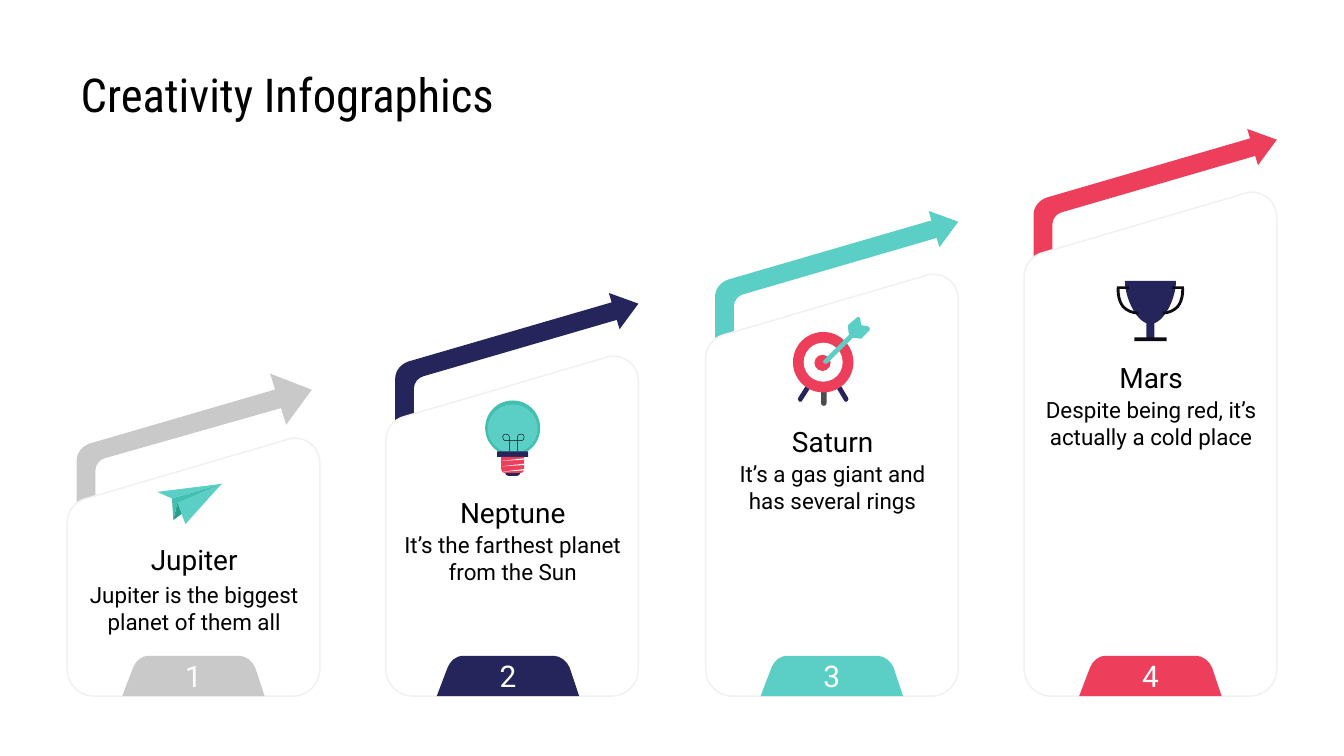
from pptx import Presentation
from pptx.dml.color import RGBColor
from pptx.enum.shapes import MSO_SHAPE
from pptx.enum.text import MSO_ANCHOR, MSO_AUTO_SIZE, PP_ALIGN
from pptx.oxml import parse_xml
from pptx.oxml.ns import nsdecls, qn
from pptx.util import Pt

PX = 9144  # 100 px to the inch

COLOURS = {
    "white": "FFFFFF", "black": "000000", "ink": "0D0C12", "edge": "F1F1F1",
    "gray": "C9C9C9", "navy": "25255B", "teal": "5BCFC5", "red": "ED3F5C",
    "mid teal": "43BFB0", "deep teal": "2B9E8D", "stand": "4C4B50",
}
RGB = {name: RGBColor.from_string(value) for name, value in COLOURS.items()}

FRAME_FORMAT = {
    "word_wrap": True, "auto_size": MSO_AUTO_SIZE.NONE,
    "vertical_anchor": MSO_ANCHOR.MIDDLE,
    "margin_left": 10 * PX, "margin_right": 10 * PX,
    "margin_top": 10 * PX, "margin_bottom": 10 * PX,
}

prs = Presentation()
prs.slide_width = 1000 * PX
prs.slide_height = prs.slide_width * 9 // 16
slide = prs.slides.add_slide(prs.slide_layouts[5])


def draw(contour, fill=None, line=None, at=(0, 0), mirror=None):
    """Draw an outline: a pair is a corner, six numbers are a Bézier curve."""
    points, curve_starts = [], []
    for step in contour:
        if len(step) == 6:
            curve_starts.append(len(points) - 1)
        for x, y in zip(step[::2], step[1::2]):
            x = x if mirror is None else 2 * mirror - x
            points.append(((x + at[0]) * PX, (y + at[1]) * PX))
    builder = slide.shapes.build_freeform(*points[0], scale=1.0)
    builder.add_line_segments(points[1:], close=fill is not None)
    shape = builder.convert_to_shape()
    segments = list(shape._element.iter(qn("a:lnTo")))
    for start in curve_starts:
        curve = parse_xml(f"<a:cubicBezTo {nsdecls('a')}/>")
        segments[start].addprevious(curve)
        for segment in segments[start:start + 3]:
            curve.append(segment[0])
            segment.getparent().remove(segment)
    shape.shadow.inherit = False
    if fill:
        shape.fill.solid()
        shape.fill.fore_color.rgb = RGB[fill]
    else:
        shape.fill.background()
    if line:
        shape.line.color.rgb, shape.line.width = RGB[line[0]], Pt(line[1])
    else:
        shape.line.fill.background()
    return shape


def write(frame, text, size, colour="black", font="Roboto", align=PP_ALIGN.CENTER):
    for name, value in FRAME_FORMAT.items():
        setattr(frame, name, value)
    paragraph = frame.paragraphs[0]
    paragraph.text, paragraph.alignment = text, align
    text_format = {"size": Pt(size), "name": font, "bold": False}
    for name, value in text_format.items():
        setattr(paragraph.font, name, value)
    paragraph.font.color.rgb = RGB[colour]


# Title
title = slide.shapes.title
title.left, title.top, title.width, title.height = [v * PX for v in (50, 48, 845, 44)]
write(title.text_frame, "Creativity Infographics", 25,
      font="Roboto Condensed", align=PP_ALIGN.LEFT)

# Cards: colour, tab offset, name top, description top, name, description
cards = [
    ("gray", 41, 402, 433, "Jupiter", "Jupiter is the biggest planet of them all"),
    ("navy", 38, 367, 396, "Neptune", "It’s the farthest planet from the Sun"),
    ("teal", 41, 314, 343, "Saturn", "It’s a gas giant and has several rings"),
    ("red", 41, 266, 295, "Mars", "Despite being red, it’s actually a cold place"),
]
tab_outline = [(20, 488), (14, 488, 10, 492, 8, 497), (0, 518), (106, 518),
               (99, 497), (97, 492, 92, 488, 87, 488)]
# Arrow: foot of the stem, the two shaft corners at the tip, head
short_arrow = 63, (161, -38), (165, -24), [(151, -48), (163, -10), (182, -36)]
long_arrow = 52, (175, -42), (179, -29), [(166, -47), (174, -20), (188, -39)]

for i, (colour, tab_offset, name_top, description_top, name, description) in enumerate(cards):
    left, top = round(50 + i * 237.33), 326 - 61 * i
    height = 518 - top
    foot, upper_tip, lower_tip, head = long_arrow if i else short_arrow
    draw([upper_tip, (17, 4), (11, 6, 7, 11, 7, 17), (7, foot), (21, foot),
          (21, 24), (21, 20, 24, 16, 28, 15), lower_tip], colour, at=(left, top))
    draw(head, colour, at=(left, top))
    draw([(169, 0), (168, 0, 166, 0, 164, 1), (14, 45), (6, 47, 0, 54, 0, 63),
          (0, height - 20), (0, height - 9, 9, height, 20, height), (168, height),
          (179, height, 188, height - 9, 188, height - 20), (188, 19),
          (188, 8, 180, 0, 169, 0)], "white", ("edge", 0.81), at=(left, top))
    tab = draw(tab_outline, colour, at=(left + tab_offset, 0))
    write(tab.text_frame, str(i + 1), 16, "white")
    for text, text_top, text_height, size in [(name, name_top, 29, 15),
                                              (description, description_top, 39, 12)]:
        box = slide.shapes.add_textbox(left * PX, text_top * PX, 189 * PX, text_height * PX)
        write(box.text_frame, text, size)

# Icons: each part is a colour with a preset and its box, or with an outline
OVAL, BAR = MSO_SHAPE.OVAL, MSO_SHAPE.RECTANGLE
paper_plane = [
    ("deep teal", None, [(165, 360), (132, 374), (129, 387)]),
    ("teal", None, [(165, 360), (132, 374), (138, 390)]),
    ("mid teal", None, [(165, 360), (128, 371), (129, 387), (132, 374)]),
    ("teal", None, [(165, 360), (117, 366), (128, 371)]),
]
light_bulb = [
    ("mid teal", OVAL, (361, 298, 41, 41)),
    ("teal", OVAL, (363, 301, 37, 36)),
    ("navy", BAR, (370, 336, 23, 4)),
    ("red", None, [(373, 340), (373, 349), (373, 351, 374, 352, 376, 352), (387, 352),
                   (389, 352, 390, 351, 390, 349), (390, 340)]),
    ("navy", None, [(376, 352), (376, 353, 377, 354, 378, 354), (385, 354),
                    (386, 354, 387, 353, 387, 352)]),
] + [("white", None, [(390, y), (373, y + 2), (390, y + 1), (391, y)])
     for y in (341, 345, 349)]
target = [
    ("stand", MSO_SHAPE.ROUNDED_RECTANGLE, (611, 268, 4, 34)),
    ("navy", None, [(613, 266), (594, 296), (593, 297, 594, 298, 595, 299),
                    (596, 299, 597, 299, 597, 298), (613, 273), (628, 298),
                    (628, 299, 629, 299, 630, 299), (631, 298, 632, 297, 631, 296)]),
    ("red", OVAL, (590, 247, 45, 45)),
    ("white", OVAL, (598, 255, 29, 29)),
    ("red", OVAL, (606, 264, 12, 12)),
    ("teal", None, [(638, 236), (631, 242), (631, 242, 631, 243, 631, 244), (632, 251),
                    (640, 252), (641, 252, 641, 252, 641, 252), (647, 246),
                    (648, 245, 647, 243, 646, 243), (641, 242), (640, 237),
                    (640, 236, 639, 236, 638, 236)]),
    ("teal", None, [(634, 247), (634, 247, 633, 248, 633, 248), (613, 268),
                    (612, 268, 612, 270, 613, 270), (613, 271, 615, 271, 616, 270),
                    (635, 251), (636, 250, 636, 249, 635, 248),
                    (635, 248, 635, 247, 634, 247)]),
]
trophy = [
    ("navy", None, [(837, 209), (837, 222, 846, 241, 856, 241),
                    (866, 241, 875, 222, 875, 209)]),
    ("navy", BAR, (853, 235, 6, 17)),
    ("ink", BAR, (844, 251, 24, 3)),
]
filament = [(379, 336), (379, 325), (379, 324, 378, 323, 376, 323),
            (375, 323, 374, 324, 374, 325), (374, 327, 375, 328, 376, 328), (382, 328)]
handle = [(831, 213), (831, 214), (831, 214, 830, 223, 835, 229),
          (838, 232, 842, 234, 847, 234), (847, 232), (843, 232, 839, 230, 837, 228),
          (833, 224, 833, 217, 833, 215), (840, 215), (840, 213)]

for icon in (paper_plane, light_bulb, target, trophy):
    parts = []
    for colour, preset, geometry in icon:
        if preset is None:
            parts.append(draw(geometry, colour))
            continue
        part = slide.shapes.add_shape(preset, *[v * PX for v in geometry])
        part.shadow.inherit = False
        part.fill.solid()
        part.fill.fore_color.rgb = RGB[colour]
        part.line.fill.background()
        if preset == MSO_SHAPE.ROUNDED_RECTANGLE:
            part.adjustments[0] = 0.5
        parts.append(part)
    for mirror in (None, 382 if icon is light_bulb else 856):
        if icon is light_bulb:
            parts.append(draw(filament, line=("ink", 0.25), mirror=mirror))
        elif icon is trophy:
            parts.append(draw(handle, "ink", mirror=mirror))
    slide.shapes.add_group_shape(parts)

prs.save("out.pptx")
